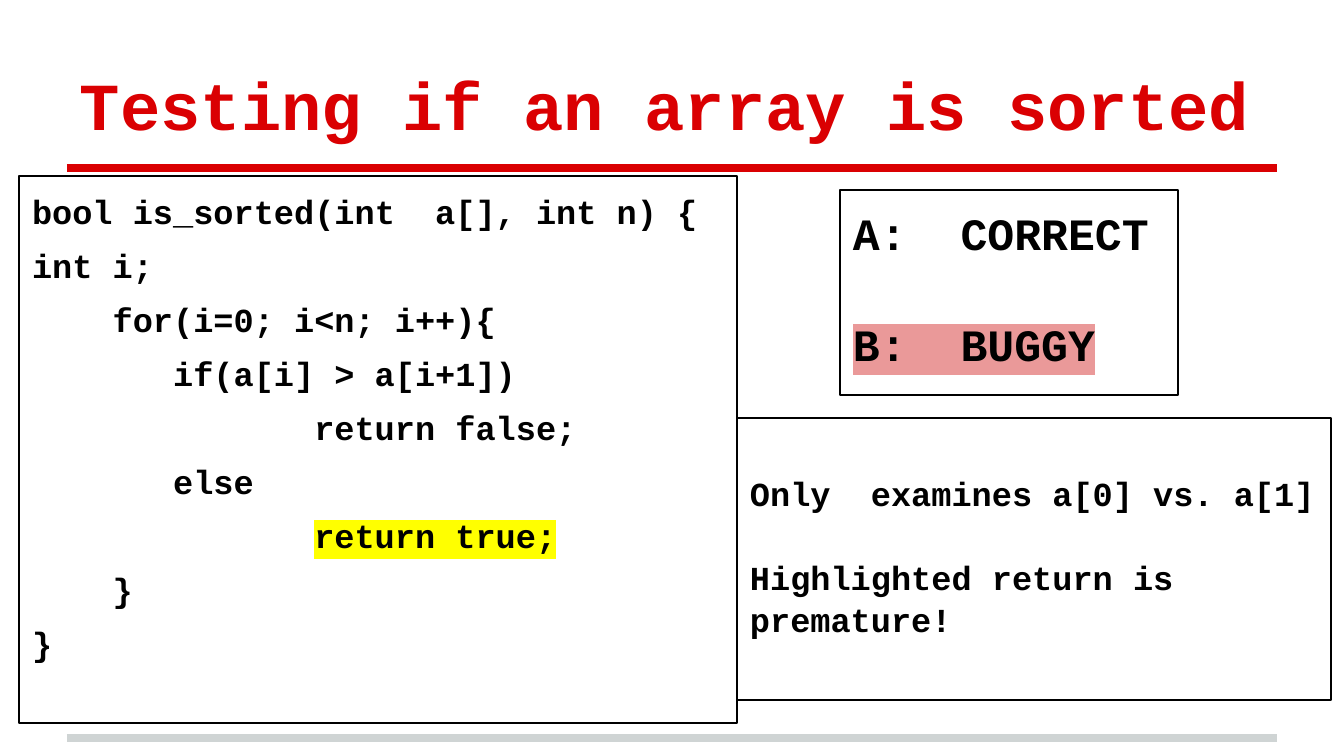
from dataclasses import dataclass

from pptx import Presentation
from pptx import util as u
from pptx.dml.color import RGBColor
from pptx.enum import shapes, text
from pptx.oxml import parse_xml
from pptx.oxml.ns import nsdecls

RED = RGBColor(0xDA, 0x00, 0x02)
GREY = RGBColor(0xCF, 0xD4, 0xD4)
BLACK = RGBColor(0x00, 0x00, 0x00)
WHITE = RGBColor(0xFF, 0xFF, 0xFF)
YELLOW = RGBColor(0xFF, 0xFF, 0x00)
PINK = RGBColor(0xEA, 0x99, 0x99)

FONT = "Courier New"
CHAR_WIDTH = 0.6  # advance of one character, in ems
INSET = 13
LINE_SPACING = 1.06


def px(pixels: float) -> int:
    return round(pixels * 914400 / 134.4)


@dataclass
class Line:
    wording: str
    columns: int = 0
    highlight: RGBColor | None = None


@dataclass
class Panel:
    left: int
    top: int
    width: int
    height: int
    size: int
    lines: list[Line]
    gap: float = 0  # points before each line
    top_inset: int = INSET
    color: RGBColor = BLACK
    border: RGBColor | None = BLACK
    anchor: text.MSO_ANCHOR = text.MSO_ANCHOR.TOP


def add_rule(slide, y: int, color: RGBColor) -> None:
    rule = slide.shapes.add_connector(
        shapes.MSO_CONNECTOR.STRAIGHT, px(67), px(y), px(1277), px(y))
    rule.line.color.rgb = color
    rule.line.width = u.Pt(4)
    rule._element.spPr.append(parse_xml(f"<a:effectLst {nsdecls('a')}/>"))


def add_line(paragraph, line: Line, panel: Panel) -> None:
    run = paragraph.add_run()
    run.text = line.wording
    if line.highlight is not None:
        run._r.get_or_add_rPr().append(parse_xml(
            f'<a:highlight {nsdecls("a")}>'
            f'<a:srgbClr val="{line.highlight}"/></a:highlight>'))
    paragraph.alignment = text.PP_ALIGN.LEFT
    paragraph.line_spacing = LINE_SPACING
    paragraph.space_before = u.Pt(panel.gap)
    font = paragraph.font
    font.name, font.size, font.bold = FONT, u.Pt(panel.size), True
    font.color.rgb = panel.color
    indent = u.Pt(line.columns * panel.size * CHAR_WIDTH)
    properties = paragraph._p.get_or_add_pPr()
    properties.set("marL", str(int(indent)))
    properties.set("indent", "0")


def add_panel(slide, panel: Panel) -> None:
    area = px(panel.left), px(panel.top), px(panel.width), px(panel.height)
    if panel.border is None:
        box = slide.shapes.add_textbox(*area)
    else:
        box = slide.shapes.add_shape(shapes.MSO_SHAPE.RECTANGLE, *area)
        box.shadow.inherit = False
        box.fill.background()
        box.line.color.rgb = panel.border
        box.line.width = u.Pt(0.75)
    frame = box.text_frame
    frame.word_wrap = True
    frame.vertical_anchor = panel.anchor
    frame.margin_left = frame.margin_right = frame.margin_bottom = px(INSET)
    frame.margin_top = px(panel.top_inset)
    for index, line in enumerate(panel.lines):
        paragraph = frame.add_paragraph() if index else frame.paragraphs[0]
        add_line(paragraph, line, panel)


TITLE = Panel(67, 31, 1210, 126, 36, [Line("Testing if an array is sorted")],
              color=RED, border=None, anchor=text.MSO_ANCHOR.BOTTOM)

CODE = Panel(19, 176, 718, 547, 18, [
    Line("bool is_sorted(int  a[], int n) {"),
    Line("int i;"),
    Line("for(i=0; i<n; i++){", 4),
    Line("if(a[i] > a[i+1])", 7),
    Line("return false;", 14),
    Line("else", 7),
    Line("return true;", 14, YELLOW),
    Line("}", 4),
    Line("}"),
], gap=6)

CHOICES = Panel(840, 190, 338, 205, 24,
                [Line("A:  CORRECT"), Line("B:  BUGGY", highlight=PINK)],
                gap=28.8)

EXPLANATION = Panel(737, 418, 594, 282, 18, [
    Line("Only  examines a[0] vs. a[1]"),
    Line("Highlighted return is premature!"),
], gap=21.6, top_inset=INSET + 40)

presentation = Presentation()
presentation.slide_width, presentation.slide_height = px(1344), px(756)
slide = presentation.slides.add_slide(presentation.slide_layouts[6])
slide.background.fill.solid()
slide.background.fill.fore_color.rgb = WHITE

# Rules below the title and at the foot
add_rule(slide, 738, GREY)
add_rule(slide, 168, RED)

# Title, code, answer choices and explanation
for panel in (TITLE, CODE, CHOICES, EXPLANATION):
    add_panel(slide, panel)

presentation.save("out.pptx")
